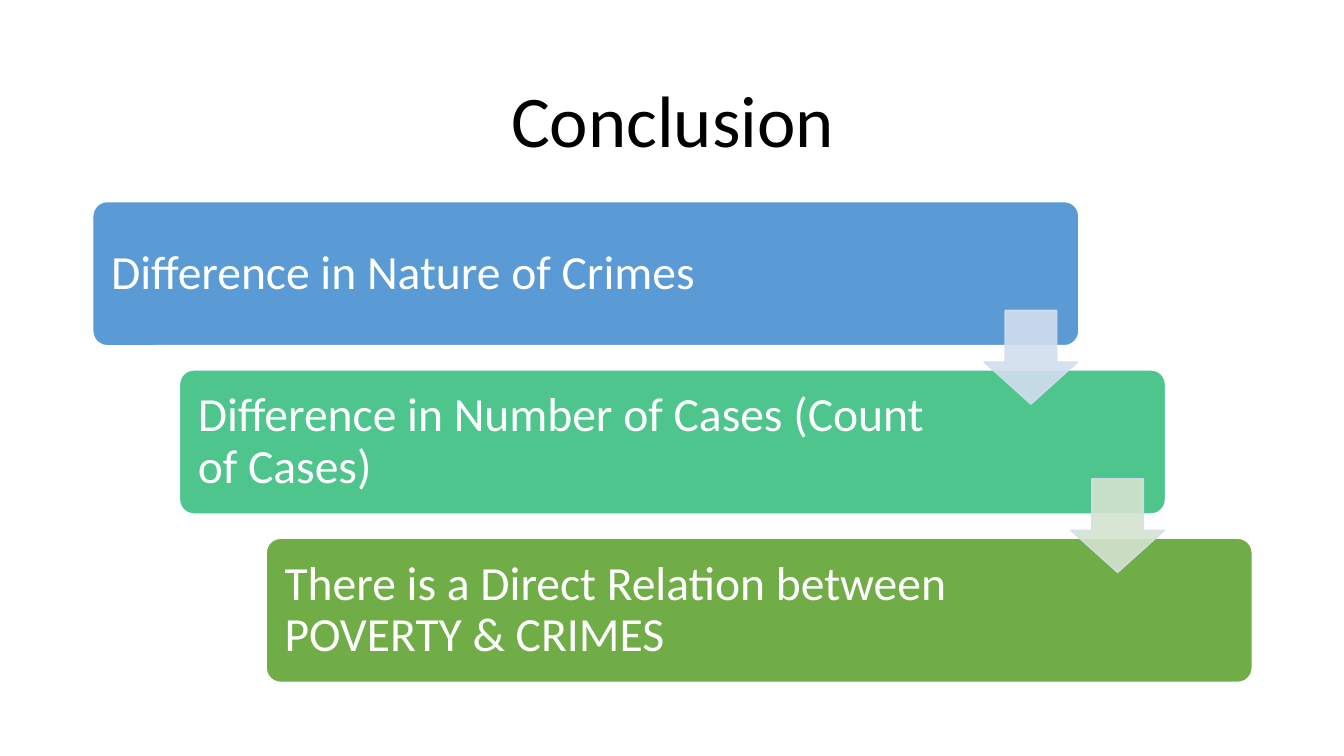
import pptx
import pptx.dml.color
import pptx.enum.shapes
import pptx.enum.text
import pptx.oxml.ns
import pptx.util
from lxml import etree

EMU_PER_PX = 9144
FONT = "Calibri"
BLACK = pptx.dml.color.RGBColor(0x00, 0x00, 0x00)
WHITE = pptx.dml.color.RGBColor(0xFF, 0xFF, 0xFF)
BLUE = pptx.dml.color.RGBColor(0x5B, 0x9B, 0xD5)
TEAL = pptx.dml.color.RGBColor(0x4D, 0xC5, 0x8D)
GREEN = pptx.dml.color.RGBColor(0x70, 0xAD, 0x47)
PALE_BLUE = pptx.dml.color.RGBColor(0xD2, 0xDE, 0xEF)
PALE_GREEN = pptx.dml.color.RGBColor(0xD5, 0xE3, 0xCF)

STEPS = [
    ("Difference in Nature of Crimes", BLUE),
    ("Difference in Number of Cases (Count of Cases)", TEAL),
    ("There is a Direct Relation between POVERTY & CRIMES", GREEN),
]
ARROW_COLORS = [PALE_BLUE, PALE_GREEN]
FIRST_LEFT, FIRST_TOP = 92, 200
STEP_RIGHT, STEP_DOWN = 86, 167
CARD_WIDTH, CARD_HEIGHT = 978, 143
ARROW_RIGHT, ARROW_DOWN, ARROW_SIZE = 884, 108, 93


def px(*lengths):
    """Turn pixel lengths into EMU."""
    return [pptx.util.Emu(length * EMU_PER_PX) for length in lengths]


def set_text(shape, text, size, color, alignment):
    """Write one vertically centred paragraph into a shape."""
    text_frame = shape.text_frame
    text_frame.word_wrap = True
    text_frame.vertical_anchor = pptx.enum.text.MSO_ANCHOR.MIDDLE
    text_frame.text = text
    paragraph = text_frame.paragraphs[0]
    paragraph.alignment = alignment
    paragraph.line_spacing = 0.9
    font = paragraph.runs[0].font
    font.name = FONT
    font.size = pptx.util.Pt(size)
    font.color.rgb = color


def add_filled_shape(slide, kind, box, fill, line):
    """Add a flat preset shape with a one-point outline."""
    shape = slide.shapes.add_shape(kind, *px(*box))
    shape.shadow.inherit = False
    shape.fill.solid()
    shape.fill.fore_color.rgb = fill
    shape.line.color.rgb = line
    shape.line.width = pptx.util.Pt(1)
    return shape


def add_title(slide, text):
    """Add the centred slide title."""
    title = slide.shapes.add_textbox(*px(92, 61, 1150, 124))
    set_text(title, text, 52, BLACK, pptx.enum.text.PP_ALIGN.CENTER)


def add_card(slide, left, top, text, color):
    """Add a rounded card with text that keeps clear of the arrows."""
    kind = pptx.enum.shapes.MSO_SHAPE.ROUNDED_RECTANGLE
    card = add_filled_shape(slide, kind, (left, top, CARD_WIDTH, CARD_HEIGHT), color, WHITE)
    card.adjustments[0] = 0.1
    card.text_frame.margin_left, card.text_frame.margin_right = px(14, 194)
    set_text(card, text, 34, WHITE, pptx.enum.text.PP_ALIGN.LEFT)


def add_arrow(slide, left, top, color):
    """Add a slightly transparent arrow that points down."""
    kind = pptx.enum.shapes.MSO_SHAPE.DOWN_ARROW
    arrow = add_filled_shape(slide, kind, (left, top, ARROW_SIZE, ARROW_SIZE), color, PALE_BLUE)
    arrow.adjustments[0] = 0.55
    arrow.adjustments[1] = 0.45
    for color_element in arrow.element.spPr.iter(pptx.oxml.ns.qn("a:srgbClr")):
        etree.SubElement(color_element, pptx.oxml.ns.qn("a:alpha"), val="90000")


def main():
    """Build the conclusion slide and save it."""
    presentation = pptx.Presentation()
    presentation.slide_width, presentation.slide_height = px(1333, 750)
    slide = presentation.slides.add_slide(presentation.slide_layouts[6])
    add_title(slide, "Conclusion")
    corners = [
        (FIRST_LEFT + index * STEP_RIGHT, FIRST_TOP + index * STEP_DOWN)
        for index in range(len(STEPS))
    ]
    for (left, top), (text, color) in zip(corners, STEPS):
        add_card(slide, left, top, text, color)
    for (left, top), color in zip(corners, ARROW_COLORS):
        add_arrow(slide, left + ARROW_RIGHT, top + ARROW_DOWN, color)
    presentation.save("out.pptx")


if __name__ == "__main__":
    main()
